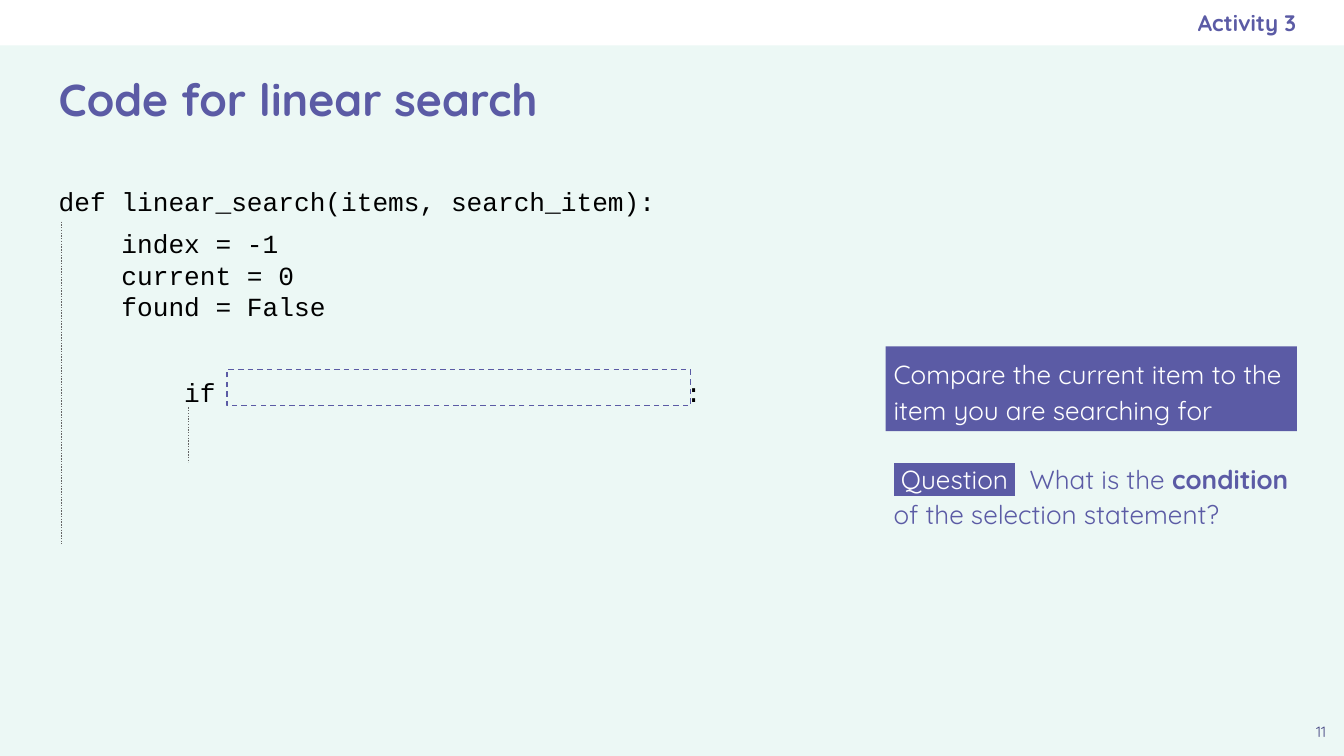
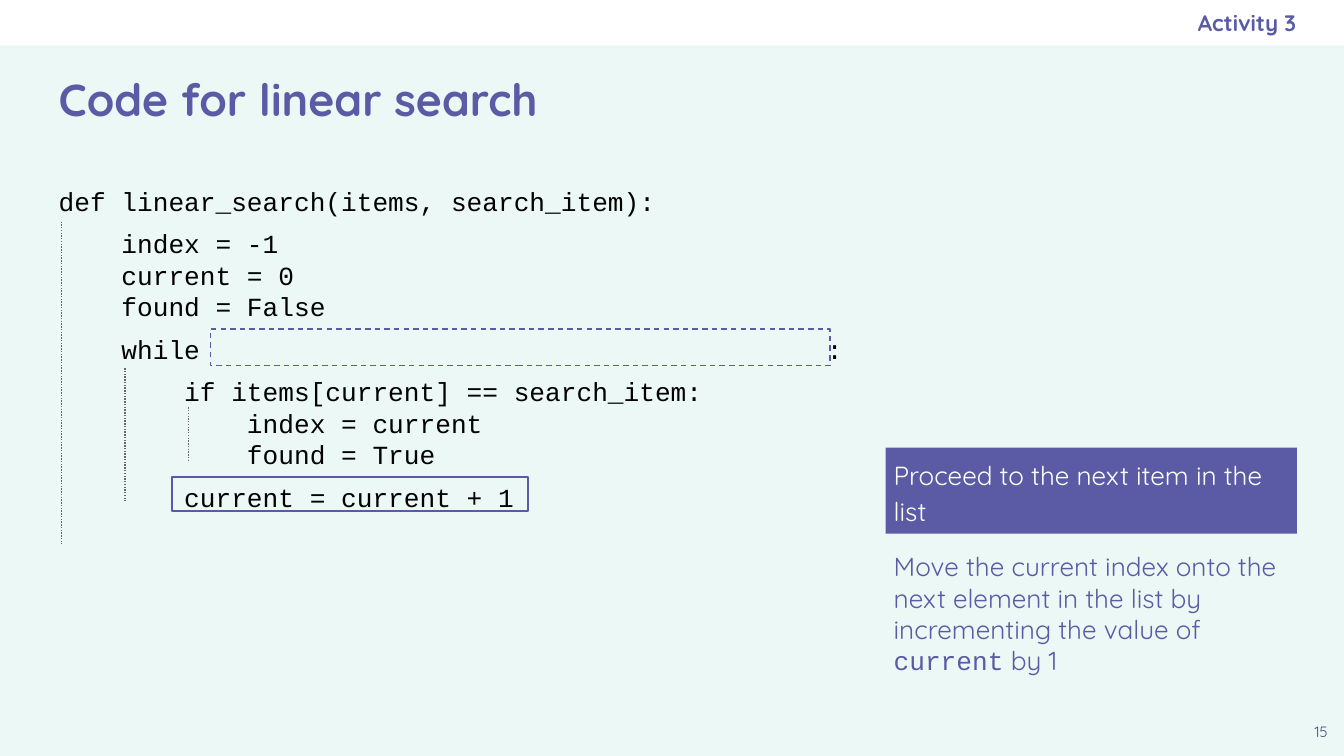
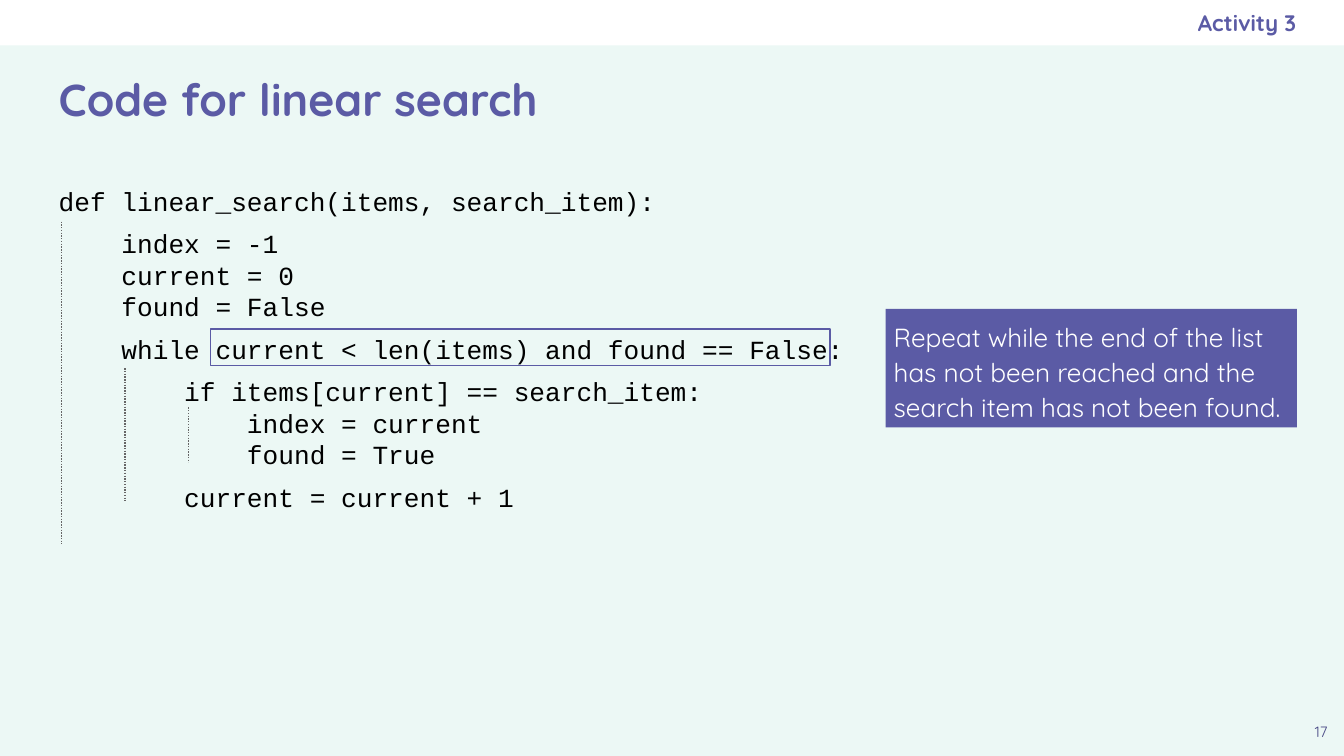
from lxml import etree
from pptx import Presentation
from pptx.dml.color import RGBColor
from pptx.enum.dml import MSO_LINE
from pptx.enum.shapes import MSO_CONNECTOR, MSO_SHAPE
from pptx.enum.text import MSO_ANCHOR, MSO_AUTO_SIZE, PP_ALIGN
from pptx.oxml.ns import qn
from pptx.util import Cm, Pt

RECT = MSO_SHAPE.RECTANGLE
STRAIGHT = MSO_CONNECTOR.STRAIGHT
DASH, DOT = MSO_LINE.DASH, MSO_LINE.ROUND_DOT
TOP, MIDDLE = MSO_ANCHOR.TOP, MSO_ANCHOR.MIDDLE
LEFT, CENTER, RIGHT = PP_ALIGN.LEFT, PP_ALIGN.CENTER, PP_ALIGN.RIGHT

COLORS = {
    "background": "ECF8F5", "band": "FFFFFF", "accent": "5B5BA5",
    "number": "494985", "code": "000000", "guide": "666666",
}
SANS, MONO = "Quicksand", "Courier New"
TEXT_SIZE = 14
CHAR_WIDTH = 0.6 * TEXT_SIZE  # points, one monospaced character
WIDE, NARROW = 0.25, 0.15  # text insets

# Boxes in centimetres: left, top, width, height
SLIDE_SIZE = (25.4, 14.29)
BAND = (0, 0, 25.4, 0.86)
ACTIVITY = (14.6, 0, 9.9, 0.86)
TITLE = (0.86, 0.89, 23.67, 1.93)
NUMBER = (24.54, 13.41, 0.86, 0.86)
CODE = (0.86, 3.25, 15.44, 10.16)
SIDE_LEFT, SIDE_WIDTH = 16.74, 7.77

# Marked code parts, relative to the code box
IF_CONDITION = (3.43, 3.73, 8.76, 0.69)
WHILE_CONDITION = (3.12, 2.97, 11.71, 0.69)
INCREMENT = (2.39, 5.77, 6.73, 0.64)

# Indent level: top and bottom of its guide, relative to the code box
GUIDES = {0: (0.94, 7.04), 1: (3.71, 6.22), 2: (4.45, 5.49)}

# Code lines with the space before each; a tab leaves room for an answer
OPENING = [
    ("def linear_search(items, search_item):", 0),
    ("    index = -1", 6),
    ("    current = 0", 0),
    ("    found = False", 0),
]
LOOP_BODY = [
    ("        if items[current] == search_item:", 6),
    ("            index = current", 0),
    ("            found = True", 0),
    ("        current = current + 1", 6),
]


def rgb(name):
    return RGBColor.from_string(COLORS[name])


def cm_box(box):
    return [Cm(length) for length in box]


def inside(box, part):
    return (box[0] + part[0], box[1] + part[1], part[2], part[3])


def style_font(font, color, size=TEXT_SIZE, name=SANS, bold=False):
    font.name, font.size, font.bold = name, Pt(size), bold
    font.color.rgb = rgb(color)


def set_frame(frame, inset, anchor=TOP, right_inset=None):
    frame.word_wrap = True
    frame.auto_size = MSO_AUTO_SIZE.NONE
    frame.vertical_anchor = anchor
    frame.margin_left = frame.margin_top = frame.margin_bottom = Cm(inset)
    frame.margin_right = Cm(inset if right_inset is None else right_inset)


def add_text_box(slide, box, inset, anchor=TOP, right_inset=None):
    frame = slide.shapes.add_textbox(*cm_box(box)).text_frame
    set_frame(frame, inset, anchor, right_inset)
    return frame


def write(paragraph, text, color, align=LEFT, **font):
    paragraph.text = text
    paragraph.alignment = align
    style_font(paragraph.font, color, **font)


def add_rect(slide, box, fill=None, line=None, dash=None):
    rect = slide.shapes.add_shape(RECT, *cm_box(box))
    rect.shadow.inherit = False
    if fill:
        rect.fill.solid()
        rect.fill.fore_color.rgb = rgb(fill)
    else:
        rect.fill.background()
    if line:
        rect.line.color.rgb = rgb(line)
        rect.line.width = Pt(0.75)
        rect.line.dash_style = dash
    else:
        rect.line.fill.background()
    return rect


def add_guide(slide, box, level):
    """Dotted line below the start of an indented block."""
    x = Cm(box[0] + 0.3 + 1.2 * level)
    top, bottom = (Cm(box[1] + y) for y in GUIDES[level])
    guide = slide.shapes.add_connector(STRAIGHT, x, top, x, bottom)
    guide.line.color.rgb = rgb("guide")
    guide.line.width = Pt(0.75)
    guide.line.dash_style = DOT
    etree.SubElement(guide._element.spPr, qn("a:effectLst"))


def add_tab_stop(paragraph, column):
    tabs = etree.SubElement(paragraph._p.get_or_add_pPr(), qn("a:tabLst"))
    etree.SubElement(tabs, qn("a:tab"), pos=str(Pt(column * CHAR_WIDTH)), algn="l")


def add_code(slide, box, lines, levels, colon_column=None):
    frame = add_text_box(slide, box, WIDE)
    for i, (line, space) in enumerate(lines):
        paragraph = frame.add_paragraph() if i else frame.paragraphs[0]
        if "\t" in line:
            add_tab_stop(paragraph, colon_column)
        write(paragraph, line, "code", name=MONO)
        if space:
            paragraph.space_before = Pt(space)
    for level in levels:
        add_guide(slide, box, level)


def mark_code(slide, part, dash=None):
    add_rect(slide, inside(CODE, part), line="accent", dash=dash)


def add_callout(slide, top, height, text):
    callout = add_rect(slide, (SIDE_LEFT, top, SIDE_WIDTH, height), fill="accent")
    set_frame(callout.text_frame, NARROW)
    paragraph = callout.text_frame.paragraphs[0]
    write(paragraph, text, "band")
    paragraph.line_spacing = 1.13


def add_side_text(slide, top, height, parts):
    """Text below a callout, from runs of (text, color, font options)."""
    frame = add_text_box(slide, (SIDE_LEFT, top, SIDE_WIDTH, height), NARROW)
    paragraph = frame.paragraphs[0]
    for text, color, options in parts:
        run = paragraph.add_run()
        run.text = text
        style_font(run.font, color, **options)
    return paragraph


def highlight(run, color):
    mark = etree.Element(qn("a:highlight"))
    etree.SubElement(mark, qn("a:srgbClr"), val=COLORS[color])
    run._r.rPr.find(qn("a:solidFill")).addnext(mark)


def add_base_slide(prs, number):
    """Slide with the band, activity label, title and slide number."""
    slide = prs.slides.add_slide(prs.slide_layouts[5])
    add_rect(slide, BAND, fill="band")

    activity = add_text_box(slide, ACTIVITY, WIDE, MIDDLE, right_inset=0)
    write(activity.paragraphs[0], "Activity 3", "accent", RIGHT, size=12, bold=True)

    title = slide.shapes.title
    title.left, title.top, title.width, title.height = cm_box(TITLE)
    set_frame(title.text_frame, WIDE, MIDDLE)
    write(title.text_frame.paragraphs[0], "Code for linear search", "accent",
          size=24, bold=True)

    page = add_text_box(slide, NUMBER, WIDE)
    write(page.paragraphs[0], str(number), "number", CENTER, size=8)
    return slide


def add_condition_slide(prs):
    slide = add_base_slide(prs, 11)
    add_code(slide, CODE, OPENING + [("        if\t:", 29)], (0, 2), colon_column=40)
    mark_code(slide, IF_CONDITION, DASH)
    add_callout(slide, 6.55, 1.6,
                "Compare the current item to the item you are searching for")
    question = add_side_text(slide, 8.53, 1.63, [
        (" Question ", "band", {}),
        ("  What is the ", "accent", {}),
        ("condition", "accent", {"bold": True}),
        (" of the selection statement?", "accent", {}),
    ])
    question.line_spacing = 1.13
    highlight(question.runs[0], "accent")


def add_increment_slide(prs):
    slide = add_base_slide(prs, 15)
    add_code(slide, CODE, OPENING + [("    while\t:", 6)] + LOOP_BODY, GUIDES,
             colon_column=49)
    mark_code(slide, WHILE_CONDITION, DASH)
    mark_code(slide, INCREMENT)
    add_callout(slide, 8.46, 1.63, "Proceed to the next item in the list")
    add_side_text(slide, 10.26, 2.67, [
        ("Move the current index onto the next element in the list by "
         "incrementing the value of ", "accent", {}),
        ("current", "accent", {"name": MONO}),
        (" by 1", "accent", {}),
    ])


def add_loop_slide(prs):
    slide = add_base_slide(prs, 17)
    loop = ("    while current < len(items) and found == False:", 6)
    add_code(slide, CODE, OPENING + [loop] + LOOP_BODY, GUIDES)
    mark_code(slide, WHILE_CONDITION)
    add_callout(slide, 5.84, 2.24,
                "Repeat while the end of the list has not been reached and "
                "the search item has not been found.")


def main():
    prs = Presentation()
    prs.slide_width, prs.slide_height = cm_box(SLIDE_SIZE)
    background = prs.slide_master.background.fill
    background.solid()
    background.fore_color.rgb = rgb("background")
    add_condition_slide(prs)
    add_increment_slide(prs)
    add_loop_slide(prs)
    prs.save("out.pptx")


if __name__ == "__main__":
    main()
